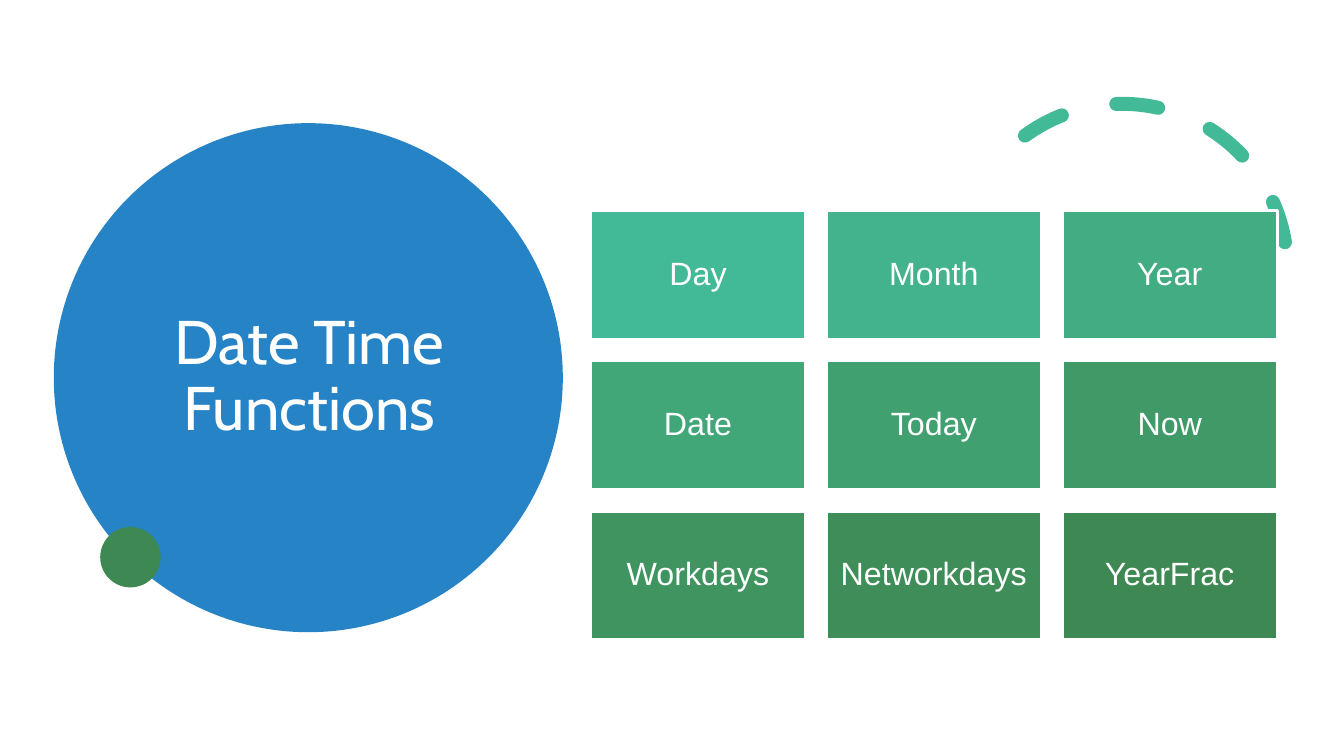
from lxml.etree import SubElement
from pptx import Presentation
from pptx.dml.color import RGBColor
from pptx.enum.dml import MSO_LINE
from pptx.enum.shapes import MSO_SHAPE
from pptx.enum.text import MSO_ANCHOR, MSO_AUTO_SIZE, PP_ALIGN
from pptx.oxml.ns import qn
from pptx.util import Pt

WHITE = RGBColor(0xFF, 0xFF, 0xFF)
BLUE = RGBColor(0x26, 0x83, 0xC6)
TEAL = RGBColor(0x42, 0xBA, 0x97)
GREEN = RGBColor(0x3E, 0x88, 0x53)

FUNCTIONS = [
    ("Day", TEAL),
    ("Month", RGBColor(0x42, 0xB3, 0x8C)),
    ("Year", RGBColor(0x42, 0xAD, 0x82)),
    ("Date", RGBColor(0x41, 0xA7, 0x79)),
    ("Today", RGBColor(0x41, 0xA0, 0x70)),
    ("Now", RGBColor(0x40, 0x9A, 0x68)),
    ("Workdays", RGBColor(0x40, 0x94, 0x60)),
    ("Networkdays", RGBColor(0x3F, 0x8E, 0x59)),
    ("YearFrac", GREEN),
]
COLUMNS = 3
GRID_LEFT, GRID_TOP = 421.9, 150.5
TILE_WIDTH, TILE_HEIGHT = 153.4, 92
COLUMN_STEP, ROW_STEP = 168.5, 107.3


def add_filled(slide, kind, left, top, width, height, color):
    sp = slide.shapes.add_shape(kind, Pt(left), Pt(top), Pt(width), Pt(height))
    sp.shadow.inherit = False
    sp.fill.solid()
    sp.fill.fore_color.rgb = color
    sp.line.fill.background()
    return sp


def add_circle(slide, left, top, size, color):
    add_filled(slide, MSO_SHAPE.OVAL, left, top, size, size, color)


def add_dashed_arc(slide, left, top, size):
    sp = slide.shapes.add_shape(MSO_SHAPE.ARC, Pt(left), Pt(top), Pt(size), Pt(size))
    sp.shadow.inherit = False
    sp.fill.background()
    sp.rotation = 330.2
    sp.adjustments[0] = 158.174
    sp.adjustments[1] = 17.814
    sp.line.color.rgb = TEAL
    sp.line.width = Pt(10)
    sp.line.dash_style = MSO_LINE.DASH
    ln = sp.line._get_or_add_ln()
    ln.set("cap", "rnd")
    SubElement(ln, qn("a:round"))


def set_text(sp, text, font_name, size):
    tf = sp.text_frame
    tf.text = text
    tf.word_wrap = True
    tf.auto_size = MSO_AUTO_SIZE.NONE
    tf.vertical_anchor = MSO_ANCHOR.MIDDLE
    p = tf.paragraphs[0]
    p.alignment = PP_ALIGN.CENTER
    p.line_spacing = 0.9
    p.font.name = font_name
    p.font.size = Pt(size)
    p.font.color.rgb = WHITE


def place_title(slide, text):
    title = slide.shapes.title
    title.left, title.top = Pt(48.2), Pt(87.8)
    title.width, title.height = Pt(345.6), Pt(363.6)
    set_text(title, text, "Cabin", 44)
    slide.shapes._spTree.append(title._element)


def add_tile(slide, index, text, color):
    row, column = divmod(index, COLUMNS)
    sp = add_filled(slide, MSO_SHAPE.RECTANGLE,
                    GRID_LEFT + column * COLUMN_STEP, GRID_TOP + row * ROW_STEP,
                    TILE_WIDTH, TILE_HEIGHT, color)
    sp.line.color.rgb = WHITE
    sp.line.width = Pt(2)
    set_text(sp, text, "Arial", 23)


def main():
    prs = Presentation()
    prs.slide_width, prs.slide_height = Pt(960), Pt(540)
    slide = prs.slides.add_slide(prs.slide_layouts[5])
    add_circle(slide, 38.4, 88, 363.6, BLUE)
    add_dashed_arc(slide, 684, 74.2, 235.4)
    add_circle(slide, 71.6, 376.4, 43.2, GREEN)
    place_title(slide, "Date Time Functions")
    for index, (text, color) in enumerate(FUNCTIONS):
        add_tile(slide, index, text, color)
    prs.save("out.pptx")


if __name__ == "__main__":
    main()
